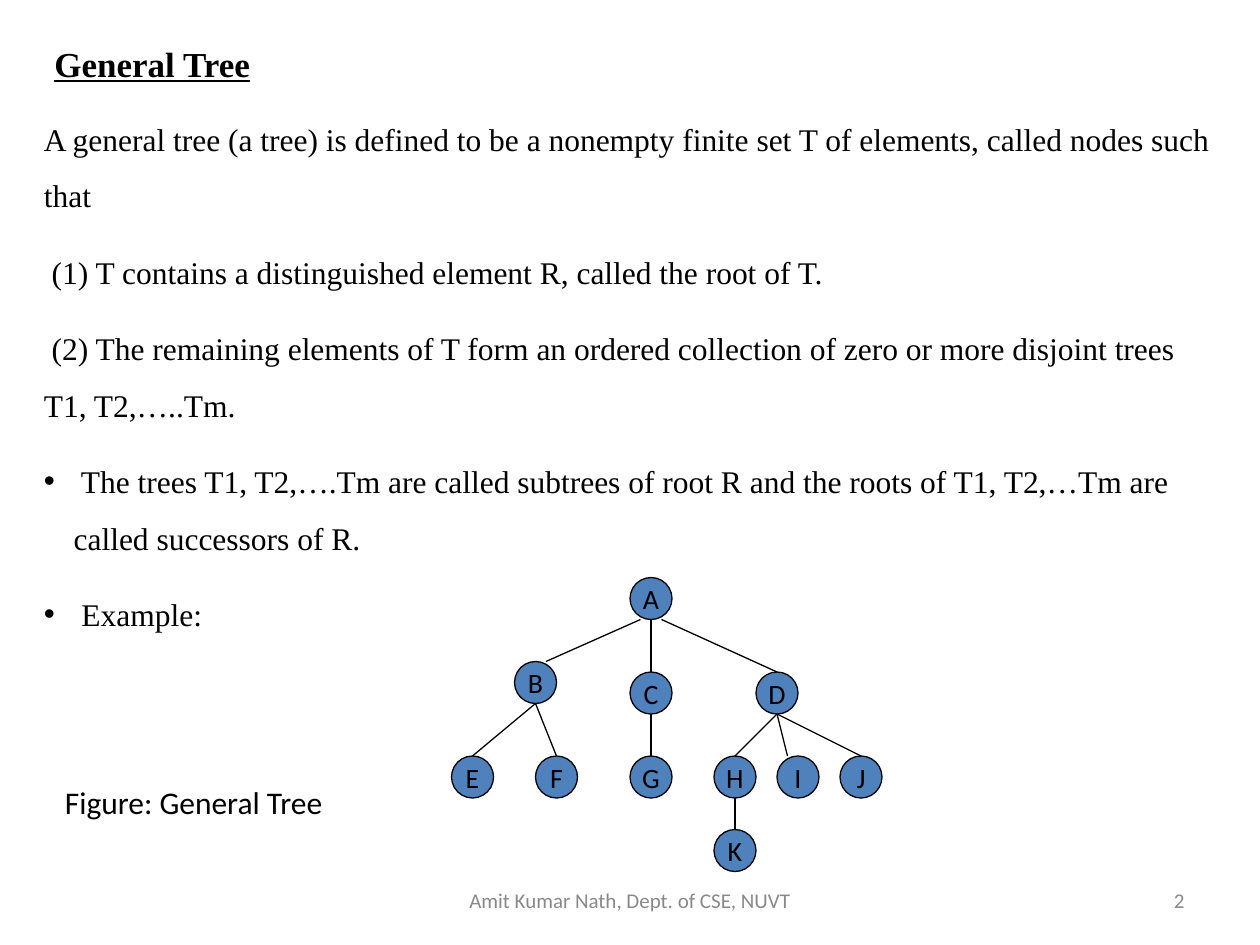
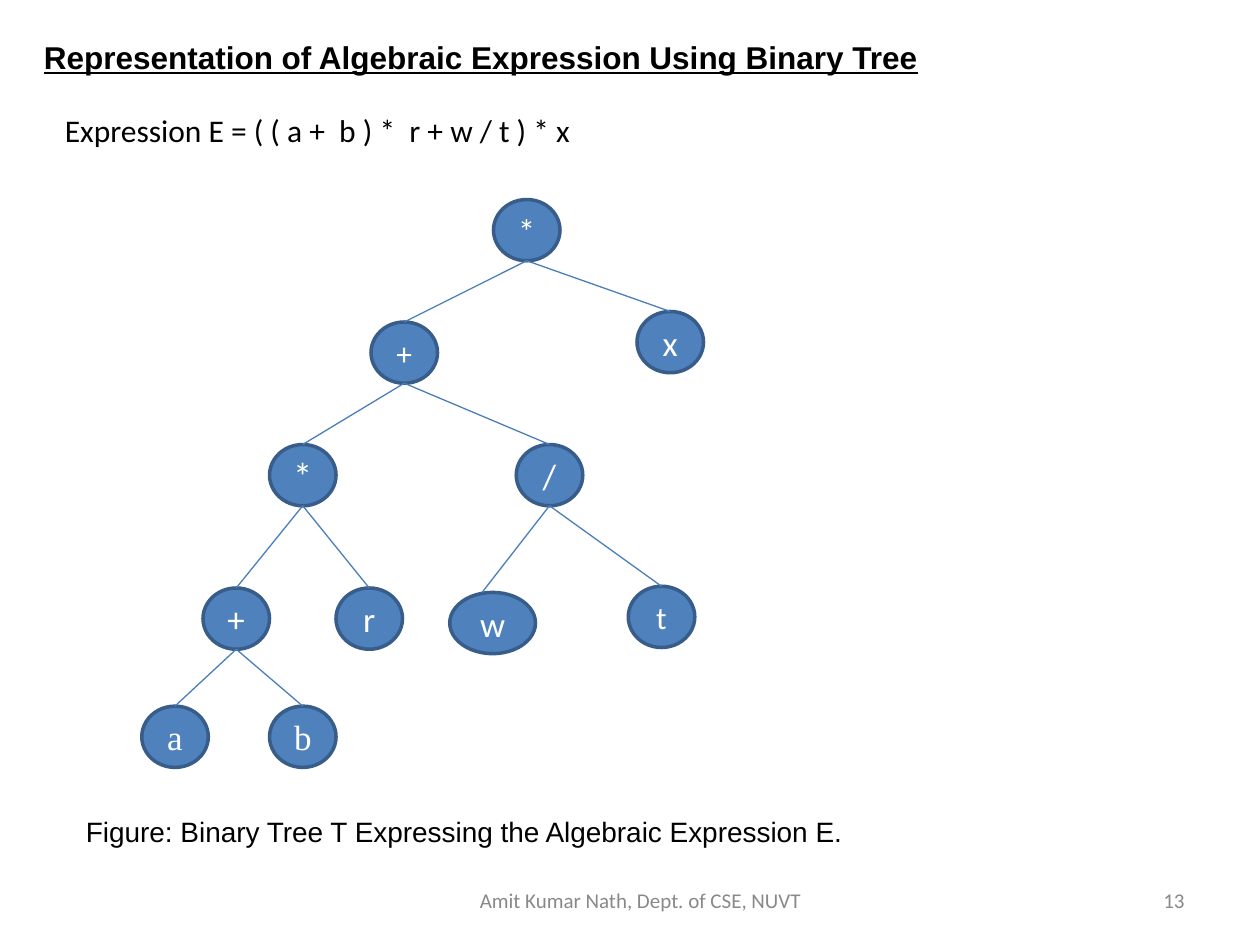
import pptx
import pptx.util
import pptx.dml.color
import pptx.enum.shapes
import pptx.enum.text
import lxml.etree

Pt = pptx.util.Pt
ALIGN = pptx.enum.text.PP_ALIGN
ANCHOR = pptx.enum.text.MSO_ANCHOR
KIND = pptx.enum.shapes

# Shared colours and text styles
BLACK, WHITE, GREY = "000000", "FFFFFF", "898989"
BLUE, NAVY, EDGE = "4F81BD", "385D8A", "4A7EBB"
TIMES, ARIAL, CALIBRI = "Times New Roman", "Arial", "Calibri"

HEAD = {"name": TIMES, "size": Pt(20), "bold": True, "underline": True}
TITLE = {"name": ARIAL, "size": Pt(18), "bold": True, "underline": True}
BODY = {"name": TIMES, "size": Pt(18)}
PLAIN = {"name": CALIBRI, "size": Pt(18)}
LABEL = {"name": ARIAL, "size": Pt(16)}
FOOT = {"name": CALIBRI, "size": Pt(12)}
LETTER = {"name": CALIBRI, "size": Pt(16)}
SIGN = {"name": CALIBRI, "size": Pt(20)}
LARGE = {**SIGN, "size": Pt(22)}
SERIF = {**SIGN, "name": TIMES}


def paint(color, code):
    color.rgb = pptx.dml.color.RGBColor.from_string(code)


def style(item, values):
    for key, value in values.items():
        setattr(item, key, value)


def write(para, text, font, code=BLACK):
    run = para.add_run()
    run.text = text
    style(run.font, font)
    paint(run.font.color, code)


def add_box(slide, box, anchor=ANCHOR.TOP):
    frame = slide.shapes.add_textbox(*map(Pt, box)).text_frame
    style(frame, {"word_wrap": True, "vertical_anchor": anchor})
    return frame


def add_text(slide, box, text, font, code=BLACK, align=ALIGN.LEFT,
             anchor=ANCHOR.TOP):
    para = add_box(slide, box, anchor).paragraphs[0]
    para.alignment = align
    write(para, text, font, code)


def add_foot(slide, left, page):
    # Centred name and page number on the right
    for box, text, align in (
            ((left, 500, 228, 29), "Amit Kumar Nath, Dept. of CSE, NUVT", ALIGN.CENTER),
            ((516, 500, 168, 29), page, ALIGN.RIGHT)):
        add_text(slide, box, text, FOOT, GREY, align, ANCHOR.MIDDLE)


def add_bullet(para, hang):
    props = para._p.get_or_add_pPr()
    props.set("marL", str(Pt(hang)))
    props.set("indent", str(-Pt(hang)))
    space = "{http://schemas.openxmlformats.org/drawingml/2006/main}"
    lxml.etree.SubElement(props, space + "buFont").set("typeface", ARIAL)
    lxml.etree.SubElement(props, space + "buChar").set("char", "•")


def add_body(slide, box, lines):
    frame = add_box(slide, box)
    for index, (text, dot) in enumerate(lines):
        para = frame.add_paragraph() if index else frame.paragraphs[0]
        style(para, {"line_spacing": 1.5, "space_before": Pt(11.2)})
        if dot:
            add_bullet(para, 17)
        write(para, text, BODY)


def add_node(slide, box, text, font, look):
    node = slide.shapes.add_shape(KIND.MSO_SHAPE.OVAL, *map(Pt, box))
    node.shadow.inherit = False
    node.fill.solid()
    paint(node.fill.fore_color, BLUE)
    paint(node.line.color, look["rim"])
    node.line.width = Pt(look["width"])
    frame = node.text_frame
    style(frame, {"word_wrap": False, "vertical_anchor": ANCHOR.MIDDLE})
    frame.paragraphs[0].alignment = ALIGN.CENTER
    write(frame.paragraphs[0], text, font, look["ink"])


def add_edge(slide, start, end, code):
    edge = slide.shapes.add_connector(
        KIND.MSO_CONNECTOR.STRAIGHT, *map(Pt, start + end))
    paint(edge.line.color, code)
    edge.line.width = Pt(0.75)
    props = edge._element.spPr
    lxml.etree.SubElement(
        props, "{http://schemas.openxmlformats.org/drawingml/2006/main}effectLst")


def add_tree(slide, left, top, nodes, edges, look):
    """Nodes: key -> x, y, text, font[, width]; edges: parent, child[, shifts]."""
    high = look["high"]
    spots = {}
    for key, (x, y, text, font, *wide) in nodes.items():
        wide = wide[0] if wide else look["wide"]
        add_node(slide, (left + x, top + y, wide, high), text, font, look)
        spots[key] = left + x + wide / 2, top + y
    # Each edge runs from the foot of the parent to the top of the child
    for parent, child, *shifts in edges:
        out, into = shifts or (0, 0)
        (x1, y1), (x2, y2) = spots[parent], spots[child]
        add_edge(slide, (x1 + out, y1 + high), (x2 + into, y2), look["edge"])


def make_general(slide):
    add_text(slide, (24, 20, 642, 32), "General Tree", HEAD, anchor=ANCHOR.MIDDLE)
    add_body(slide, (18, 54, 684, 355), [
        ("A general tree (a tree) is defined to be a nonempty finite set T of "
         "elements, called nodes such that", False),
        (" (1) T contains a distinguished element R, called the root of T.", False),
        (" (2) The remaining elements of T form an ordered collection of zero or "
         "more disjoint trees T1, T2,…..Tm.", False),
        (" The trees T1, T2,….Tm are called subtrees of root R and the roots of "
         "T1, T2,…Tm are called successors of R.", True),
        (" Example:", True)])
    spots = {"A": (102, 0), "B": (36, 48), "C": (102, 54), "D": (174, 54),
             "K": (150, 144)}
    leaves = zip("EFGHIJ", (0, 48, 102, 150, 186, 222))
    spots.update((name, (x, 102)) for name, x in leaves)
    nodes = {name: (*spot, name, LETTER) for name, spot in spots.items()}
    edges = ["AC", ("A", "B", -6, 6), ("A", "D", 6, 0), "BE", "BF", "CG",
             "DH", ("D", "I", 0, -6), "DJ", "HK"]
    look = {"wide": 24, "high": 24, "rim": BLACK, "width": 0.75,
            "ink": BLACK, "edge": BLACK}
    add_tree(slide, 258, 330, nodes, edges, look)
    add_text(slide, (30, 444, 204, 29), "Figure: General Tree", PLAIN)
    add_foot(slide, 246, "2")


def make_binary(slide):
    add_text(slide, (18, 18, 672, 29),
             "Representation of Algebraic Expression Using Binary Tree", TITLE)
    add_text(slide, (30, 60, 654, 29),
             "Expression E = ( ( a +  b ) *  r + w / t ) * x", PLAIN)
    nodes = {
        "root": (201, 0, "*", SIGN),
        "sum": (131, 70, "+", PLAIN), "x": (283, 64, "x", SIGN),
        "times": (73, 140, "*", LARGE), "over": (214, 140, "/", SIGN),
        "plus": (35, 222, "+", SIGN), "r": (111, 222, "r", SIGN),
        "w": (176, 224.5, "w", SIGN, 49), "t": (278, 221, "t", PLAIN),
        "a": (0, 289.5, "a", SERIF), "b": (73, 289.5, "b", SERIF)}
    edges = [("root", "sum"), ("root", "x"), ("sum", "times"), ("sum", "over"),
             ("times", "plus"), ("times", "r"), ("over", "w", 0, -6),
             ("over", "t"), ("plus", "a"), ("plus", "b")]
    look = {"wide": 38, "high": 35, "rim": NAVY, "width": 2,
            "ink": WHITE, "edge": EDGE}
    add_tree(slide, 81, 114, nodes, edges, look)
    add_text(slide, (42, 462, 516, 27),
             "Figure: Binary Tree T Expressing the Algebraic Expression E.", LABEL)
    add_foot(slide, 252, "13")


def main():
    deck = pptx.Presentation()
    style(deck, {"slide_width": Pt(720), "slide_height": Pt(540)})
    for make in (make_general, make_binary):
        make(deck.slides.add_slide(deck.slide_layouts[6]))
    deck.save("out.pptx")


if __name__ == "__main__":
    main()
